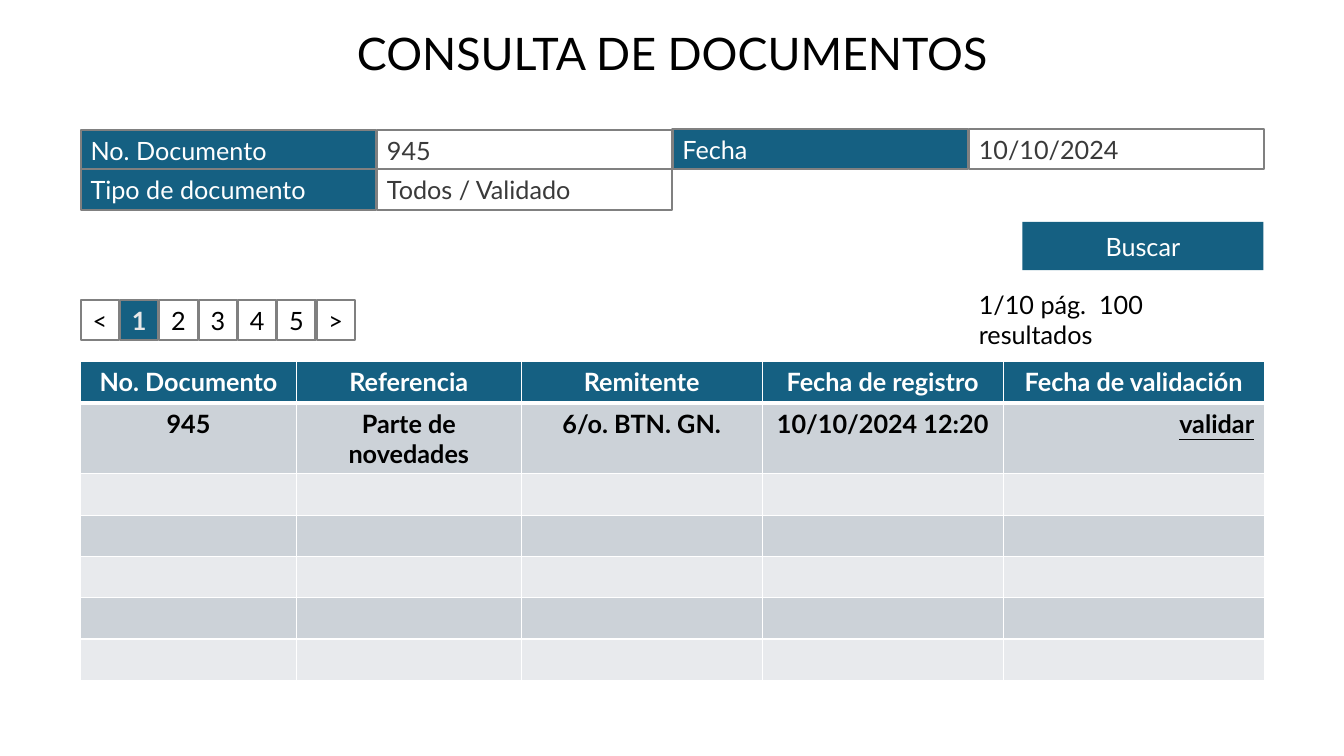
from pptx import Presentation
from pptx.dml.color import RGBColor
from pptx.enum.shapes import MSO_SHAPE as Preset
from pptx.enum.text import MSO_ANCHOR as Anchor, PP_ALIGN as Align
from pptx.oxml import parse_xml
from pptx.oxml.ns import nsdecls
from pptx.util import Inches, Pt

BLUE = RGBColor(0x15, 0x60, 0x82)
WHITE = RGBColor(0xFF, 0xFF, 0xFF)
BLACK = RGBColor(0x00, 0x00, 0x00)
GRAY = RGBColor(0x80, 0x80, 0x80)
DARK = RGBColor(0x3A, 0x3A, 0x3A)
PALE = RGBColor(0xE8, 0xE8, 0xE8)
BAND_DARK = RGBColor(0xCC, 0xD2, 0xD8)
BAND_LIGHT = RGBColor(0xE8, 0xEA, 0xED)

LEFT, CONTENT_WIDTH = 0.8, 11.74
FIELD_WIDTH, FIELD_HEIGHT = 2.93, 0.4
PAGE_STEP = 0.39
COLUMN_WIDTHS = [2.14, 2.23, 2.39, 2.39, 2.59]
ROW_HEIGHTS = [0.41, 0.69] + [0.41] * 5
HEADINGS = ["No. Documento", "Referencia", "Remitente",
            "Fecha de registro", "Fecha de validación"]
RECORD = ["945", "Parte de novedades", "6/o. BTN. GN.",
          "10/10/2024 12:20", "validar"]


def write(frame, text, color, align=Align.LEFT, size=18, bold=False):
    """Write one run of text into a frame and return the run."""
    frame.word_wrap = True
    paragraph = frame.paragraphs[0]
    paragraph.alignment = align
    run = paragraph.add_run()
    run.text = text
    run.font.name = "Lato"
    run.font.size = Pt(size)
    run.font.bold = bold
    run.font.color.rgb = color
    return run


def add_box(slide, box, text, color, fill=None, outline=GRAY,
            align=Align.LEFT, bold=False):
    """Add a rectangle with centred-height text."""
    rectangle = slide.shapes.add_shape(Preset.RECTANGLE, *map(Inches, box))
    rectangle.shadow.inherit = False
    if fill is None:
        rectangle.fill.background()
    else:
        rectangle.fill.solid()
        rectangle.fill.fore_color.rgb = fill
    if outline is None:
        rectangle.line.fill.background()
    else:
        rectangle.line.color.rgb = outline
        rectangle.line.width = Pt(1.5)
    rectangle.text_frame.vertical_anchor = Anchor.MIDDLE
    write(rectangle.text_frame, text, color, align, bold=bold)


def add_title(slide, text):
    """Place the slide heading in the title placeholder."""
    title = slide.shapes.title
    title.left, title.top = Inches(LEFT), Inches(0.28)
    title.width, title.height = Inches(CONTENT_WIDTH), Inches(0.48)
    title.text_frame.vertical_anchor = Anchor.MIDDLE
    write(title.text_frame, text, BLACK, Align.CENTER, size=32)


def add_field(slide, left, top, label, value):
    """Add a search field made of a label and its value."""
    value_left = left + FIELD_WIDTH + 0.01
    add_box(slide, (left, top, FIELD_WIDTH, FIELD_HEIGHT), label, WHITE, BLUE)
    add_box(slide, (value_left, top, FIELD_WIDTH, FIELD_HEIGHT), value, DARK, WHITE)


def add_pager(slide, labels, current):
    """Add the row of page buttons with the current one highlighted."""
    for index, label in enumerate(labels):
        active = label == current
        add_box(slide, (LEFT + index * PAGE_STEP, 2.98, 0.38, 0.39), label,
                PALE if active else BLACK, BLUE if active else None,
                align=Align.CENTER, bold=active)


def add_result_count(slide, text):
    """Add the text with the page and result counts."""
    count = slide.shapes.add_textbox(
        Inches(9.61), Inches(2.93), Inches(FIELD_WIDTH), Inches(0.48))
    count.text_frame.vertical_anchor = Anchor.MIDDLE
    write(count.text_frame, text, BLACK)


def set_borders(cell, top, bottom):
    """Draw white borders around a cell, with widths in points."""
    properties = cell._tc.get_or_add_tcPr()
    sides = {"lnL": 1, "lnR": 1, "lnT": top, "lnB": bottom}
    for position, (side, width) in enumerate(sides.items()):
        properties.insert(position, parse_xml(
            f'<a:{side} {nsdecls("a")} w="{Pt(width)}"><a:solidFill>'
            f'<a:srgbClr val="{WHITE}"/></a:solidFill></a:{side}>'))


def add_results(slide):
    """Add the banded table of documents found."""
    table = slide.shapes.add_table(
        len(ROW_HEIGHTS), len(COLUMN_WIDTHS), Inches(LEFT), Inches(3.59),
        Inches(CONTENT_WIDTH), Inches(sum(ROW_HEIGHTS))).table
    for column, width in zip(table.columns, COLUMN_WIDTHS):
        column.width = Inches(width)
    for index, (row, height) in enumerate(zip(table.rows, ROW_HEIGHTS)):
        row.height = Inches(height)
        band = BAND_DARK if index % 2 else BAND_LIGHT
        for cell in row.cells:
            cell.fill.solid()
            cell.fill.fore_color.rgb = band if index else BLUE
            set_borders(cell, 3 if index == 1 else 1, 1 if index else 3)
    for column, (heading, value) in enumerate(zip(HEADINGS, RECORD)):
        write(table.cell(0, column).text_frame, heading, WHITE,
              Align.CENTER, bold=True)
        is_link = value == "validar"
        entry = write(table.cell(1, column).text_frame, value, BLACK,
                      Align.RIGHT if is_link else Align.CENTER, bold=True)
        entry.font.underline = is_link


def main():
    """Build the document search slide."""
    deck = Presentation()
    deck.slide_width, deck.slide_height = Inches(13.33), Inches(7.5)
    slide = deck.slides.add_slide(deck.slide_layouts[5])
    add_title(slide, "CONSULTA DE DOCUMENTOS")
    add_field(slide, LEFT, 1.29, "No. Documento", "945")
    add_field(slide, 6.67, 1.28, "Fecha", "10/10/2024")
    add_field(slide, LEFT, 1.68, "Tipo de documento", "Todos / Validado")
    add_box(slide, (10.14, 2.2, 2.39, 0.48), "Buscar", WHITE, BLUE,
            outline=None, align=Align.CENTER)
    add_results(slide)
    add_pager(slide, "<12345>", "1")
    add_result_count(slide, "1/10 pág.  100 resultados")
    deck.save("out.pptx")


if __name__ == "__main__":
    main()
